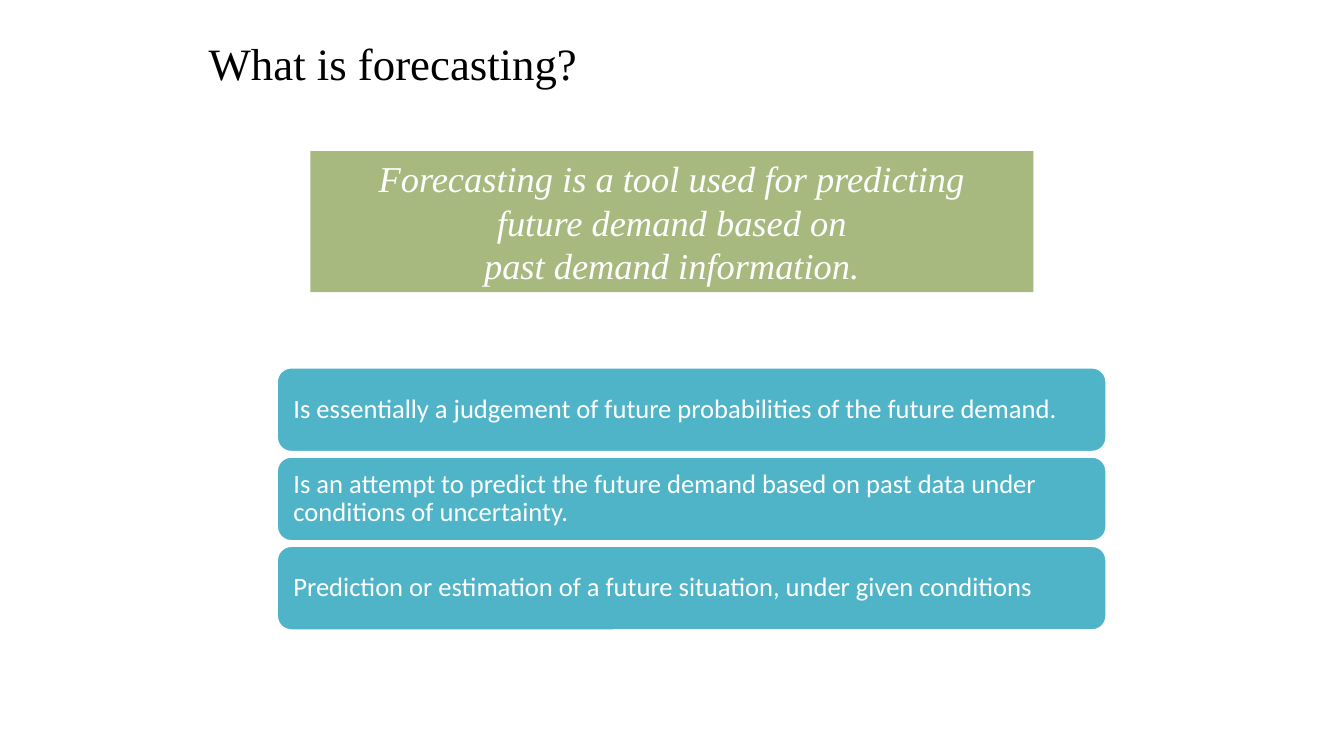
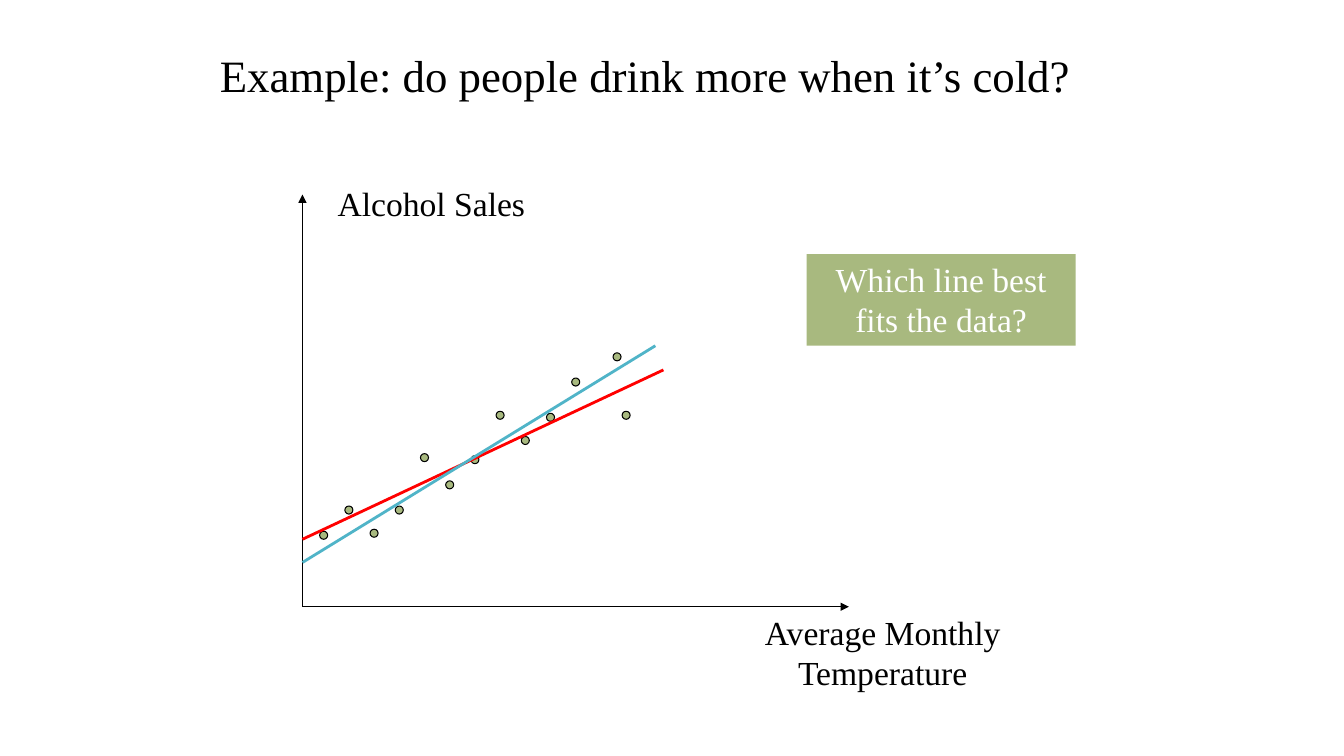
from dataclasses import dataclass

from lxml.etree import SubElement
from pptx import Presentation
from pptx.dml.color import RGBColor
from pptx.enum.shapes import MSO_CONNECTOR, MSO_SHAPE
from pptx.enum.text import MSO_ANCHOR, MSO_AUTO_SIZE, PP_ALIGN
from pptx.oxml.ns import qn
from pptx.util import Inches, Pt


@dataclass(frozen=True)
class Theme:
    black: RGBColor = RGBColor(0x00, 0x00, 0x00)
    white: RGBColor = RGBColor(0xFF, 0xFF, 0xFF)
    green: RGBColor = RGBColor(0xA8, 0xB9, 0x7F)
    teal: RGBColor = RGBColor(0x50, 0xB4, 0xC8)
    red: RGBColor = RGBColor(0xFF, 0x00, 0x00)
    serif: str = "Times New Roman"
    sans: str = "Calibri"
    title_size: int = 32
    definition_size: int = 26
    label_size: int = 24
    card_size: int = 19
    thin_line: float = 0.75
    card_line: float = 1
    fit_line: float = 2


@dataclass(frozen=True)
class Box:
    left: float
    top: float
    width: float
    height: float

    def lengths(self):
        return [Inches(value) for value in (self.left, self.top, self.width, self.height)]


THEME = Theme()
TITLE_ONLY = 5

DEFINITION = [
    "Forecasting is a tool used for predicting",
    "future demand based on",
    "past demand information.",
]
MEANINGS = [
    "Is essentially a judgement of future probabilities of the future demand.",
    "Is an attempt to predict the future demand based on past data under conditions of uncertainty.",
    "Prediction or estimation of a future situation, under given conditions",
]
STEADY_HEIGHTS = [0.71, 0.96, 0.73, 0.96, 1.48, 1.21, 1.46, 1.9, 1.65, 1.88, 2.23]
SALES_POINTS = [(0.21 + 0.25 * index, height) for index, height in enumerate(STEADY_HEIGHTS)]
SALES_POINTS += [(3.12, 2.48), (3.21, 1.9)]


def write_text(shape, lines, size, color, font=THEME.serif, align=PP_ALIGN.LEFT,
               anchor=MSO_ANCHOR.TOP, italic=False):
    text_frame = shape.text_frame
    text_frame.word_wrap = True
    text_frame.auto_size = MSO_AUTO_SIZE.NONE
    text_frame.vertical_anchor = anchor
    text_frame.text = "\n".join(lines)
    for paragraph in text_frame.paragraphs:
        paragraph.alignment = align
        paragraph.font.name = font
        paragraph.font.size = Pt(size)
        paragraph.font.color.rgb = color
        paragraph.font.italic = italic
    return text_frame


def add_filled_shape(slide, kind, box, fill, line=None, line_width=THEME.thin_line):
    shape = slide.shapes.add_shape(kind, *box.lengths())
    shape.shadow.inherit = False
    shape.fill.solid()
    shape.fill.fore_color.rgb = fill
    if line is None:
        shape.line.fill.background()
    else:
        shape.line.color.rgb = line
        shape.line.width = Pt(line_width)
    return shape


def add_line(slide, start, end, color, width, arrow=False):
    ends = [Inches(value) for value in (*start, *end)]
    connector = slide.shapes.add_connector(MSO_CONNECTOR.STRAIGHT, *ends)
    connector.line.color.rgb = color
    connector.line.width = Pt(width)
    if arrow:
        SubElement(connector.line._get_or_add_ln(), qn("a:tailEnd"), type="triangle")
    SubElement(connector._element.spPr, qn("a:effectLst"))


def add_titled_slide(presentation, title, box):
    slide = presentation.slides.add_slide(presentation.slide_layouts[TITLE_ONLY])
    placeholder = slide.shapes.title
    placeholder.left, placeholder.top, placeholder.width, placeholder.height = box.lengths()
    write_text(placeholder, [title], THEME.title_size, THEME.black)
    return slide


def add_callout(slide, box, lines, size, italic=False):
    callout = add_filled_shape(slide, MSO_SHAPE.RECTANGLE, box, THEME.green)
    write_text(callout, lines, size, THEME.white, align=PP_ALIGN.CENTER, italic=italic)


def add_label(slide, box, text, align=PP_ALIGN.LEFT):
    label = slide.shapes.add_textbox(*box.lengths())
    write_text(label, [text], THEME.label_size, THEME.black, align=align)


def add_card_stack(slide, box, texts, card_height=0.83):
    step = (box.height - card_height) / (len(texts) - 1)
    for index, text in enumerate(texts):
        card_box = Box(box.left, box.top + index * step, box.width, card_height)
        card = add_filled_shape(slide, MSO_SHAPE.ROUNDED_RECTANGLE, card_box,
                                THEME.teal, THEME.white, THEME.card_line)
        text_frame = write_text(card, [text], THEME.card_size, THEME.white,
                                font=THEME.sans, anchor=MSO_ANCHOR.MIDDLE)
        text_frame.margin_left = text_frame.margin_right = Inches(0.12)
        text_frame.paragraphs[0].line_spacing = 0.9


def add_scatter_sketch(slide, box, points, dot_size=0.08):
    def place(across, up):
        return box.left + across, box.top + box.height - up

    for axis_end in ((0, box.height), (box.width, 0)):
        add_line(slide, place(0, 0), place(*axis_end), THEME.black, THEME.thin_line, arrow=True)
    for point in points:
        center_x, center_y = place(*point)
        dot_box = Box(center_x - dot_size / 2, center_y - dot_size / 2, dot_size, dot_size)
        add_filled_shape(slide, MSO_SHAPE.OVAL, dot_box, THEME.green, THEME.black)
    add_label(slide, Box(box.left + 0.25, box.top - 0.16, 2.67, 0.5), "Alcohol Sales")
    add_label(slide, Box(box.left + box.width - 1, box.top + box.height, 2.67, 0.91),
              "Average Monthly Temperature", PP_ALIGN.CENTER)
    for start, end, color in (((0, 0.67), (3.58, 2.35), THEME.red),
                              ((0, 0.44), (3.5, 2.59), THEME.teal)):
        add_line(slide, place(*start), place(*end), color, THEME.fit_line)


def add_definition_slide(presentation):
    slide = add_titled_slide(presentation, "What is forecasting?", Box(1.97, 0.3, 9, 0.63))
    add_callout(slide, Box(3.08, 1.5, 7.17, 1.4), DEFINITION, THEME.definition_size, italic=True)
    add_card_stack(slide, Box(2.75, 3.65, 8.22, 2.6), MEANINGS)


def add_example_slide(presentation):
    slide = add_titled_slide(presentation, "Example: do people drink more when it’s cold?",
                             Box(2.08, 0.42, 9.08, 0.63))
    add_scatter_sketch(slide, Box(3, 1.93, 5.42, 4.09), SALES_POINTS)
    add_callout(slide, Box(8, 2.52, 2.67, 0.91), ["Which line best fits the data?"],
                THEME.label_size)


def main():
    presentation = Presentation()
    presentation.slide_width = Inches(13.33)
    presentation.slide_height = Inches(7.5)
    add_definition_slide(presentation)
    add_example_slide(presentation)
    presentation.save("out.pptx")


if __name__ == "__main__":
    main()
